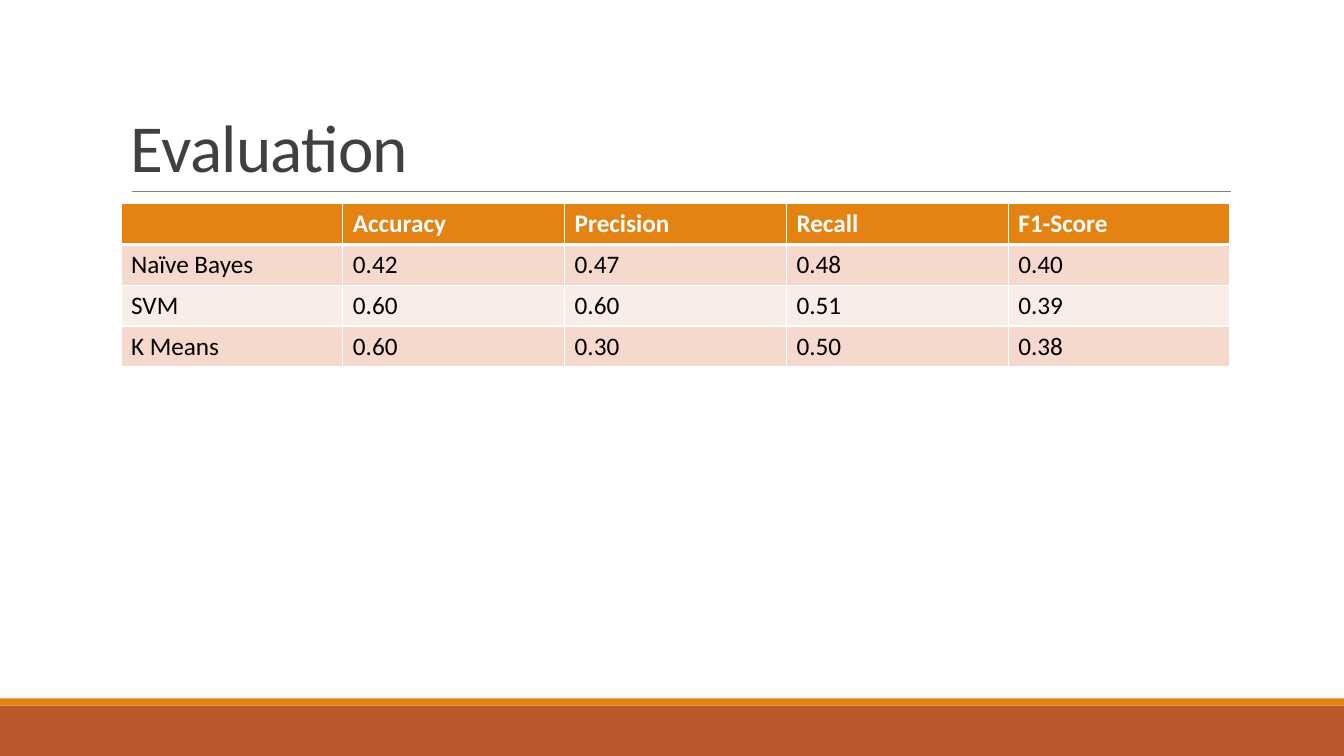
"""Build the Evaluation slide with a table of classifier scores."""
from lxml import etree
from pptx import Presentation
from pptx.dml.color import RGBColor
from pptx.enum.shapes import MSO_CONNECTOR, MSO_SHAPE
from pptx.enum.text import MSO_ANCHOR
from pptx.oxml.ns import qn
from pptx.util import Inches, Pt

RECTANGLE = MSO_SHAPE.RECTANGLE
STRAIGHT = MSO_CONNECTOR.STRAIGHT
BOTTOM = MSO_ANCHOR.BOTTOM
FONT = "Calibri"
ORANGE = "E48312"
WHITE = "FFFFFF"
BAND_COLORS = ["F5D9CC", "FAEDE7"]
SCORES = [
    ["", "Accuracy", "Precision", "Recall", "F1-Score"],
    ["Naïve Bayes", "0.42", "0.47", "0.48", "0.40"],
    ["SVM", "0.60", "0.60", "0.51", "0.39"],
    ["K Means", "0.60", "0.30", "0.50", "0.38"],
]


def paint(color_format, color):
    color_format.rgb = RGBColor.from_string(color)


def add_border(cell, side, points):
    properties = cell._tc.get_or_add_tcPr()
    line = etree.SubElement(properties, qn(f"a:ln{side}"), w=str(Pt(points)))
    fill = etree.SubElement(line, qn("a:solidFill"))
    etree.SubElement(fill, qn("a:srgbClr"), val=WHITE)


presentation = Presentation()
presentation.slide_width = Inches(13.33)
presentation.slide_height = Inches(7.5)
slide = presentation.slides.add_slide(presentation.slide_layouts[6])

for top, height, color in [(7, 0.5, "BD582C"), (6.93, 0.07, ORANGE)]:
    band = slide.shapes.add_shape(
        RECTANGLE, Inches(0), Inches(top), Inches(13.33), Inches(height))
    band.shadow.inherit = False
    band.fill.solid()
    paint(band.fill.fore_color, color)
    band.line.fill.background()

rule = slide.shapes.add_connector(
    STRAIGHT, Inches(1.31), Inches(1.9), Inches(12.21), Inches(1.9))
paint(rule.line.color, "808080")
rule.line.width = Pt(0.5)
etree.SubElement(rule._element.spPr, qn("a:effectLst"))

title = slide.shapes.add_textbox(
    Inches(1.2), Inches(0.31), Inches(11), Inches(1.59))
title.text_frame.word_wrap = True
title.text_frame.vertical_anchor = BOTTOM
title.text_frame.text = "Evaluation"
paragraph = title.text_frame.paragraphs[0]
paragraph.line_spacing = 0.85
run = paragraph.runs[0]
run.font.name = FONT
run.font.size = Pt(48)
paint(run.font.color, "404040")
run._r.get_or_add_rPr().set("spc", "-50")

table = slide.shapes.add_table(
    len(SCORES), len(SCORES[0]),
    Inches(1.2), Inches(2.02), Inches(11), Inches(1.62)).table

for row_index, row in enumerate(SCORES):
    is_header = row_index == 0
    for column_index, text in enumerate(row):
        cell = table.cell(row_index, column_index)
        add_border(cell, "L", 1)
        add_border(cell, "R", 1)
        add_border(cell, "T", 3 if row_index == 1 else 1)
        add_border(cell, "B", 3 if is_header else 1)
        cell.fill.solid()
        paint(cell.fill.fore_color,
              ORANGE if is_header else BAND_COLORS[(row_index - 1) % 2])
        cell.text_frame.text = text
        for run in cell.text_frame.paragraphs[0].runs:
            run.font.name = FONT
            run.font.size = Pt(18)
            run.font.bold = is_header
            paint(run.font.color, WHITE if is_header else "000000")

presentation.save("out.pptx")
